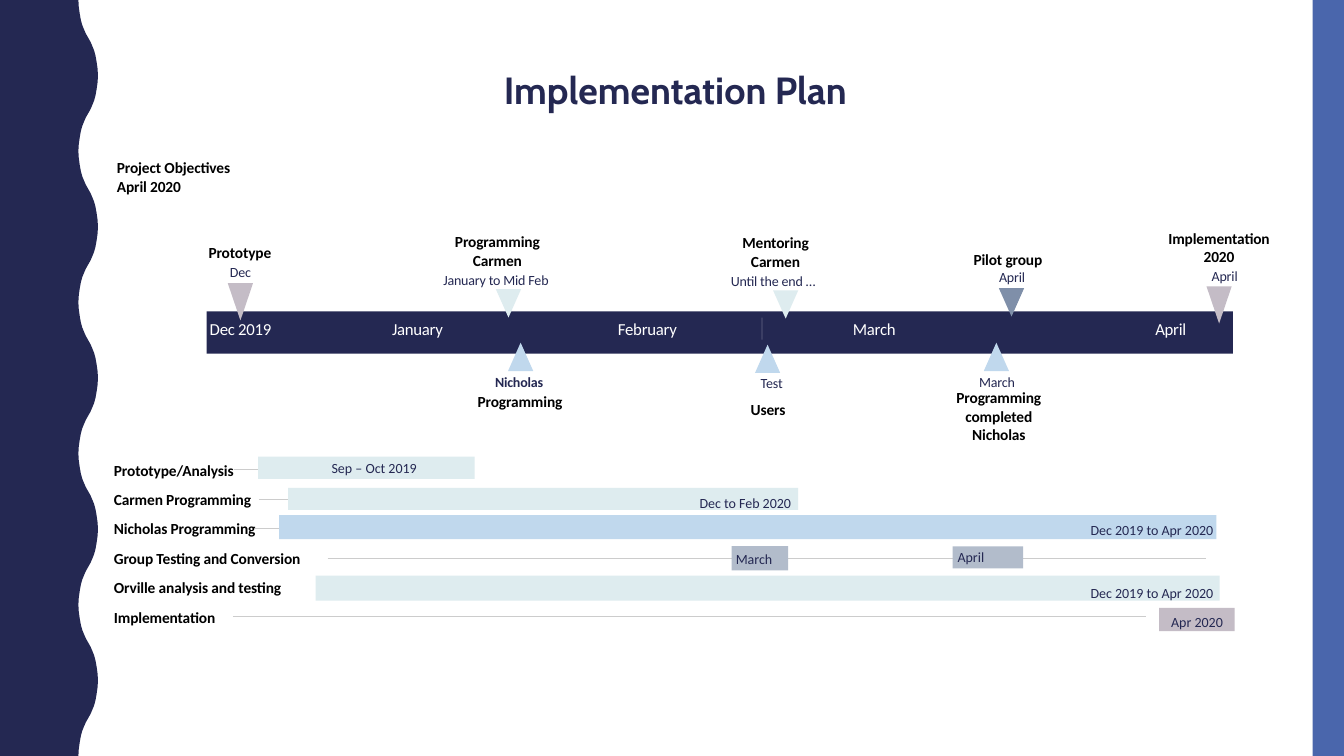
from dataclasses import dataclass

from lxml.etree import SubElement
from pptx import Presentation
from pptx.dml.color import RGBColor
from pptx.enum.shapes import MSO_CONNECTOR, MSO_SHAPE
from pptx.enum.text import MSO_ANCHOR, PP_ALIGN
from pptx.oxml.ns import qn
from pptx.util import Pt


@dataclass(frozen=True)
class Theme:
    navy: str = "242852"
    blue: str = "4A66AC"
    black: str = "000000"
    white: str = "FFFFFF"
    rule: str = "CCCCCC"
    mauve: str = "C4BCC6"
    mint: str = "DEECEF"
    sky: str = "C0D8ED"
    slate: str = "7F8FA9"
    steel: str = "B2BCCB"
    heading: str = "Cabin"
    body: str = "Calibri"
    title: float = 27
    month: float = 12
    label: float = 11
    date: float = 10


T = Theme()


def write(tf, text, size=T.date, color=T.navy, bold=False, font=T.body,
          align=PP_ALIGN.LEFT, anchor=MSO_ANCHOR.MIDDLE, spacing=0):
    tf.word_wrap = True
    tf.vertical_anchor = anchor
    tf.margin_left = tf.margin_right = tf.margin_top = tf.margin_bottom = 0
    for i, line in enumerate(text.split("\n")):
        p = tf.paragraphs[0] if i == 0 else tf.add_paragraph()
        p.alignment = align
        r = p.add_run()
        r.text = line
        r.font.size = Pt(size)
        r.font.name = font
        r.font.bold = bold
        r.font.color.rgb = RGBColor.from_string(color)
        if spacing:
            r._r.get_or_add_rPr().set("spc", str(round(spacing * 100)))


class Board:
    def __init__(self, slide, theme):
        self.slide = slide
        self.theme = theme

    def paint(self, s, color):
        s.shadow.inherit = False
        s.fill.solid()
        s.fill.fore_color.rgb = RGBColor.from_string(color)
        s.line.fill.background()
        return s

    def shape(self, kind, x, y, w, h, color):
        s = self.slide.shapes.add_shape(kind, Pt(x), Pt(y), Pt(w), Pt(h))
        return self.paint(s, color)

    def rect(self, x, y, w, h, color):
        return self.shape(MSO_SHAPE.RECTANGLE, x, y, w, h, color)

    def marker(self, center, y, h, color, down):
        s = self.shape(MSO_SHAPE.ISOSCELES_TRIANGLE, center - 9, y, 18, h, color)
        s.rotation = 180 if down else 0

    def outline(self, points, color):
        shapes = self.slide.shapes
        b = shapes.build_freeform(Pt(points[0][0]), Pt(points[0][1]))
        b.add_line_segments([(Pt(x), Pt(y)) for x, y in points[1:]], close=True)
        self.paint(b.convert_to_shape(), color)

    def line(self, x1, y1, x2, y2, color, width=0.75, alpha=None):
        c = self.slide.shapes.add_connector(
            MSO_CONNECTOR.STRAIGHT, Pt(x1), Pt(y1), Pt(x2), Pt(y2))
        c.line.width = Pt(width)
        c.line.color.rgb = RGBColor.from_string(color)
        SubElement(c._element.spPr, qn("a:effectLst"))
        if alpha:
            clr = c._element.spPr.find(".//" + qn("a:srgbClr"))
            SubElement(clr, qn("a:alpha")).set("val", str(alpha * 1000))

    def text(self, x, y, w, h, text, **fmt):
        s = self.slide.shapes.add_textbox(Pt(x), Pt(y), Pt(w), Pt(h))
        write(s.text_frame, text, **fmt)

    def centered(self, center, y, text, **fmt):
        h = 13.4 * len(text.split("\n"))
        self.text(center - 60, y, 120, h, text, align=PP_ALIGN.CENTER, **fmt)

    def label(self, x, y, w, h, text):
        self.text(x, y, w, h, text, size=self.theme.label,
                  color=self.theme.black, bold=True, spacing=-0.1)

    def milestone(self, caption, cap_at, date, date_at, mark_at, h, color, down):
        t = self.theme
        self.centered(*cap_at, caption, size=t.label, color=t.black,
                      bold=True, spacing=-0.1)
        self.centered(date_at[0], date_at[1] - 0.6, date,
                      bold=date == "Nicholas", spacing=-0.1)
        self.marker(*mark_at, h, color, down)


RISE = ((0, 56), (5, 56.3), (10, 57), (14.4, 57.8), (18, 58.8), (21, 60),
        (24, 61.3), (27, 63), (30, 64.7), (33, 66), (36, 67.2), (39.6, 68.2),
        (44, 69), (49, 69.7), (54, 70))

MONTHS = (("Dec 2019", 149.8), ("January", 280), ("February", 441.4),
          ("March", 609.2), ("April", 825.2))

MILESTONES = (
    ("Prototype", (171.4, 173.5), "Dec", (171.7, 187.9),
     (171.7, 202.3), 26.6, T.mauve, True),
    ("Programming\nCarmen", (355.3, 165.6), "January to Mid Feb", (354.2, 193.7),
     (363.2, 206.6), 20.2, T.mint, True),
    ("Mentoring\nCarmen", (554, 166.3), "Until the end …", (552.2, 194.4),
     (561.2, 207.4), 20.2, T.mint, True),
    ("Pilot group", (720, 178.6), "April", (722.9, 191.5),
     (722.5, 205.9), 20.2, T.slate, True),
    ("Implementation\n2020", (870.8, 163.4), "April", (874.8, 190.8),
     (870.8, 204.5), 26.6, T.mauve, True),
    ("Programming", (371.5, 280), "Nicholas", (370.8, 266.4),
     (371.9, 244.8), 20.2, T.sky, False),
    ("Users", (548.6, 285.8), "Test", (551.2, 267.1),
     (548.3, 246.2), 20.2, T.sky, False),
    ("Programming\ncompleted\nNicholas", (713.5, 277.2), "March", (712.1, 266.4),
     (711.7, 244.8), 20.2, T.sky, False),
)

ROWS = (
    ("Prototype/Analysis", (167, 225.4),
     [((184.3, 326.2, 154.8, 15.8), T.mint, "Sep – Oct 2019", 236.9, 328.3)]),
    ("Carmen Programming", (185, 332.6),
     [((205.9, 348.5, 364.3, 15.8), T.mint, "Dec to Feb 2020", 499.7, 352.8)]),
    ("Nicholas Programming", (180, 709.2),
     [((199.4, 367.9, 669.6, 17.3), T.sky, "Dec 2019 to Apr 2020", 779, 372.2)]),
    ("Group Testing and Conversion", (234, 861.8),
     [((522.7, 390.2, 40.3, 17.3), T.steel, "March", 525.6, 393.1),
      ((680.4, 390.2, 50.4, 15.8), T.steel, "April", 684, 391.7)]),
    ("Orville analysis and testing", None,
     [((225.4, 411.1, 645.8, 18), T.mint, "Dec 2019 to Apr 2020", 779, 417.6)]),
    ("Implementation", (166.3, 818.6),
     [((828, 434.2, 54, 16.6), T.mauve, "Apr 2020", 836.6, 437.8)]),
)


def main():
    prs = Presentation()
    prs.slide_width, prs.slide_height = Pt(960), Pt(540)
    b = Board(prs.slides.add_slide(prs.slide_layouts[6]), T)

    wave = [(0, 0)]
    for half in range(10):
        for dy, x in RISE[:-1]:
            wave.append((126 - x if half % 2 else x, 54 * half + dy))
    b.outline(wave + [(56, 540), (0, 540)], T.navy)
    b.rect(937.6, 0, 22.4, 540, T.blue)

    b.text(148.3, 28.1, 668.2, 51.8, "Implementation Plan", size=T.title,
           bold=True, font=T.heading, align=PP_ALIGN.CENTER,
           anchor=MSO_ANCHOR.BOTTOM)
    b.label(83.5, 113, 100, 26.8, "Project Objectives\nApril 2020")

    b.rect(147.6, 222.5, 733, 30.2, T.navy)
    b.line(544.3, 226.8, 544.3, 242.6, T.white, width=0.5, alpha=30)
    for month, x in MONTHS:
        b.text(x, 227.5, 70, 14.4, month, size=T.month, color=T.white, spacing=-0.2)
    for milestone in MILESTONES:
        b.milestone(*milestone)

    for i, (name, span, bars) in enumerate(ROWS):
        y = 335.7 + 21 * i
        if span:
            b.line(span[0], y, span[1], y, T.rule)
        b.label(81.4, y - 6.8, 160, 13.6, name)
        for box, color, date, x, top in bars:
            b.rect(*box, color)
            b.text(x, top, 100, 12.2, date)

    prs.save("out.pptx")


if __name__ == "__main__":
    main()
